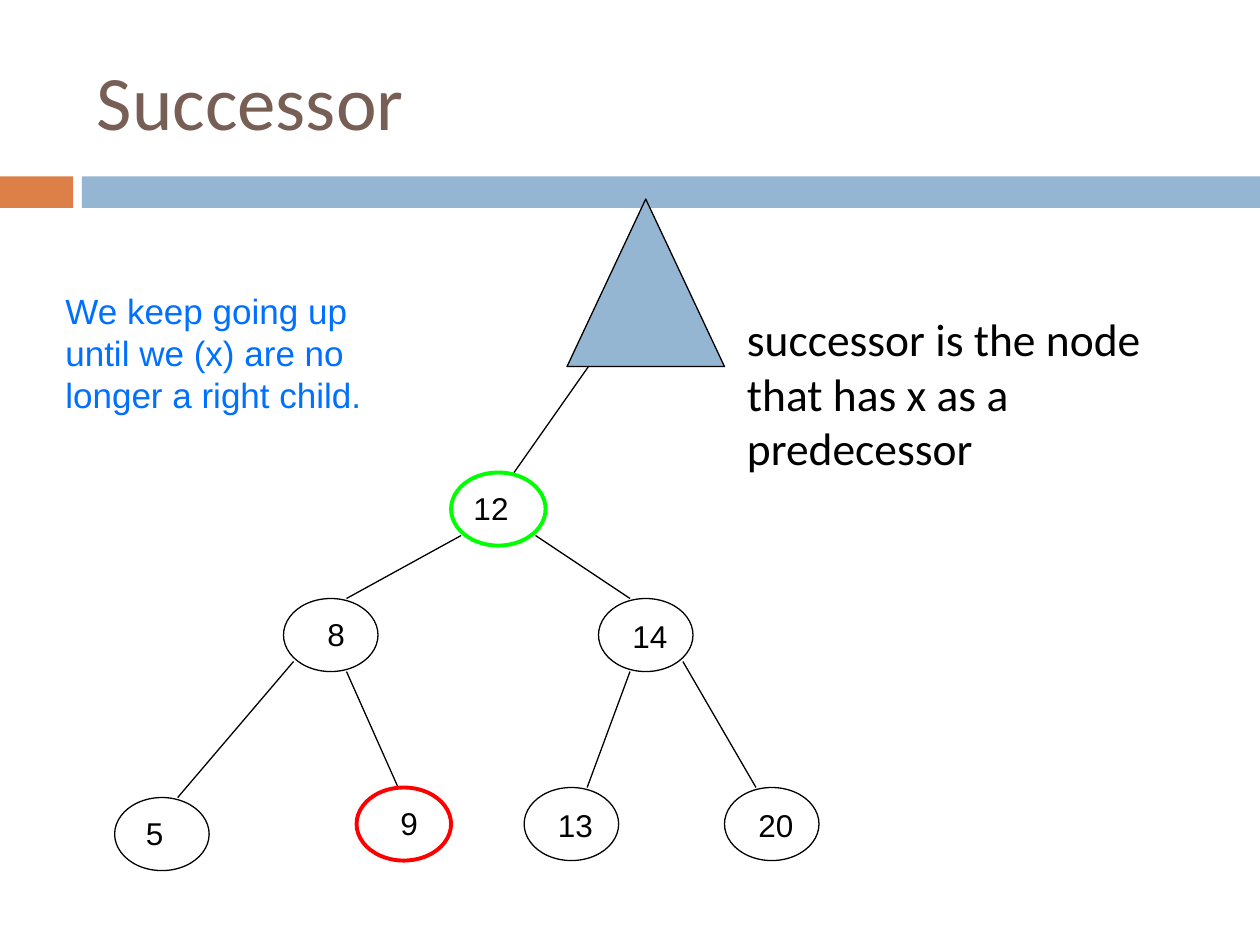
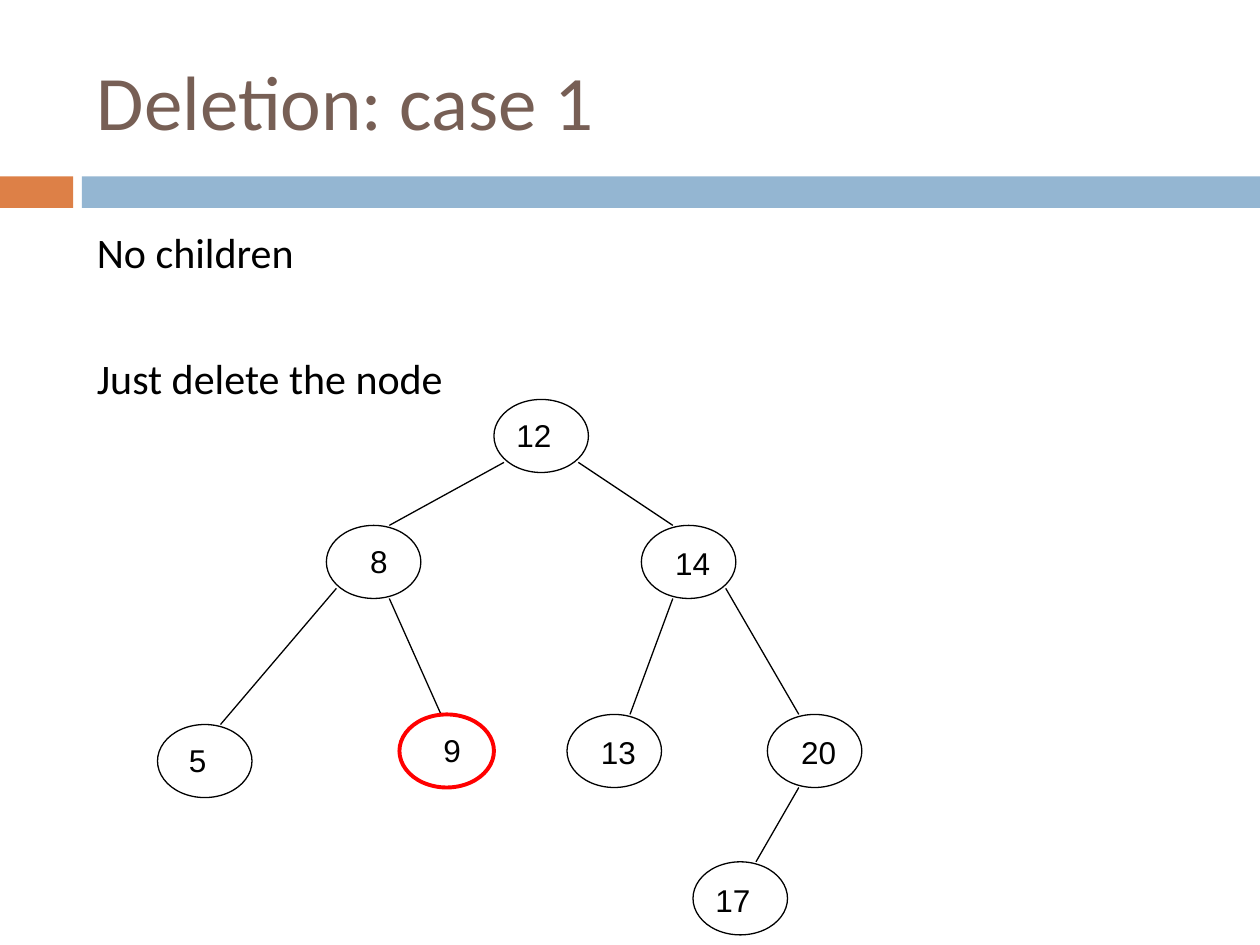
from lxml import etree
from pptx import Presentation
from pptx import util as u
from pptx.dml.color import RGBColor
from pptx.enum import shapes, text
from pptx.oxml.ns import qn

ORANGE, BLUE, BROWN = "DD8047", "94B6D2", "775F55"
BLACK, GREEN, RED, NOTE = "000000", "00FF00", "FF0000", "0070FF"
NODE_W, NODE_H = 0.75, 0.58

# value: (node offset from the root, label offset within the node)
NODES = {
    "12": ((0, 0), (0.08, 0.08)),
    "8": ((-1.33, 1), (0.25, 0.08)),
    "14": ((1.17, 1), (0.17, 0.1)),
    "5": ((-2.67, 2.58), (0.15, 0.08)),
    "9": ((-0.75, 2.5), (0.25, 0.08)),
    "13": ((0.58, 2.5), (0.17, 0.1)),
    "20": ((2.17, 2.5), (0.17, 0.1)),
    "17": ((1.58, 3.67), (0.08, 0.1)),
}
# points where an edge leaves its parent
LEFT, RIGHT = (0.08, 0.5), (0.67, 0.5)
LOW_LEFT, LOW_RIGHT = (0.25, NODE_H), (0.5, NODE_H)
# parent, child, leaving point, x where the edge meets the top of the child
EDGES = [
    ("12", "8", LEFT, 0.5),
    ("12", "14", RIGHT, 0.25),
    ("8", "5", LEFT, 0.5),
    ("8", "9", LOW_RIGHT, 0.33),
    ("14", "13", LOW_LEFT, 0.5),
    ("14", "20", RIGHT, 0.25),
    ("20", "17", LOW_LEFT, 0.5),
]


def rgb(color):
    return RGBColor.from_string(color)


def add_text(s, box, lines, size, color=BLACK, font="Calibri",
             anchor=text.MSO_ANCHOR.TOP, gap=0):
    sp = s.shapes.add_textbox(*map(u.Inches, box))
    tf = sp.text_frame
    tf.word_wrap = True
    tf.vertical_anchor = anchor
    tf.text = "\n".join(lines)
    for i, p in enumerate(tf.paragraphs):
        p.space_before = u.Pt(gap if i else 0)
        for r in p.runs:
            r.font.size = u.Pt(size)
            r.font.name = font
            r.font.color.rgb = rgb(color)


def add_shape(s, kind, box, fill=None, line=None, width=0.75):
    sp = s.shapes.add_shape(kind, *map(u.Inches, box))
    sp.shadow.inherit = False
    if fill:
        sp.fill.solid()
        sp.fill.fore_color.rgb = rgb(fill)
    else:
        sp.fill.background()
    if line:
        sp.line.color.rgb = rgb(line)
        sp.line.width = u.Pt(width)
    else:
        sp.line.fill.background()


def add_edge(s, start, end):
    c = s.shapes.add_connector(shapes.MSO_CONNECTOR.STRAIGHT,
                               *map(u.Inches, (*start, *end)))
    c.line.color.rgb = rgb(BLACK)
    c.line.width = u.Pt(0.75)
    etree.SubElement(c._element.spPr, qn("a:effectLst"))


def add_titled_slide(prs, title):
    s = prs.slides.add_slide(prs.slide_layouts[6])
    rect = shapes.MSO_SHAPE.RECTANGLE
    add_shape(s, rect, (0, 1.4, 0.58, 0.25), ORANGE)
    add_shape(s, rect, (0.65, 1.4, 9.35, 0.25), BLUE)
    add_text(s, (0.67, 0.25, 8.92, 1.08), [title], 44, BROWN,
             anchor=text.MSO_ANCHOR.MIDDLE)
    return s


def add_tree(s, left, top, values, marked):
    """Draw the search tree with its root at left, top; marked maps values to outline colours."""
    def place(value):
        dx, dy = NODES[value][0]
        return left + dx, top + dy

    for parent, child, (px, py), cx in EDGES:
        if child in values:
            x1, y1 = place(parent)
            x2, y2 = place(child)
            add_edge(s, (x1 + px, y1 + py), (x2 + cx, y2))
    for value in values:
        x, y = place(value)
        dx, dy = NODES[value][1]
        add_text(s, (x + dx, y + dy, 0.67, 0.4), [value], 18, font="Arial")
        add_shape(s, shapes.MSO_SHAPE.OVAL, (x, y, NODE_W, NODE_H),
                  line=marked.get(value, BLACK),
                  width=2.25 if value in marked else 0.75)


def add_upper_tree(s, left, top):
    """Draw the triangle for the rest of the tree and its edge down to the root."""
    width, height = 1.25, 1.33
    add_shape(s, shapes.MSO_SHAPE.ISOSCELES_TRIANGLE,
              (left, top, width, height), BLUE, BLACK)
    add_edge(s, (left + 0.17, top + height), (left - 0.42, top + 2.17))


def successor_slide(prs):
    s = add_titled_slide(prs, "Successor")
    add_tree(s, 3.58, 3.75, [v for v in NODES if v != "17"],
             {"12": GREEN, "9": RED})
    add_upper_tree(s, 4.5, 1.58)
    add_text(s, (5.83, 2.42, 3.67, 1.42),
             ["successor is the node that has x as a predecessor"], 26)
    add_text(s, (0.42, 2.25, 2.92, 1.1),
             ["We keep going up until we (x) are no longer a right child."],
             20, NOTE, "Arial")


def deletion_slide(prs):
    s = add_titled_slide(prs, "Deletion: case 1")
    add_text(s, (0.67, 1.75, 8.92, 4.92),
             ["No children", "Just delete the node"], 24, gap=43)
    add_tree(s, 3.92, 3.17, list(NODES), {"9": RED})


def main():
    prs = Presentation()
    prs.slide_width, prs.slide_height = u.Inches(10), u.Inches(7.5)
    successor_slide(prs)
    deletion_slide(prs)
    prs.save("out.pptx")


if __name__ == "__main__":
    main()
